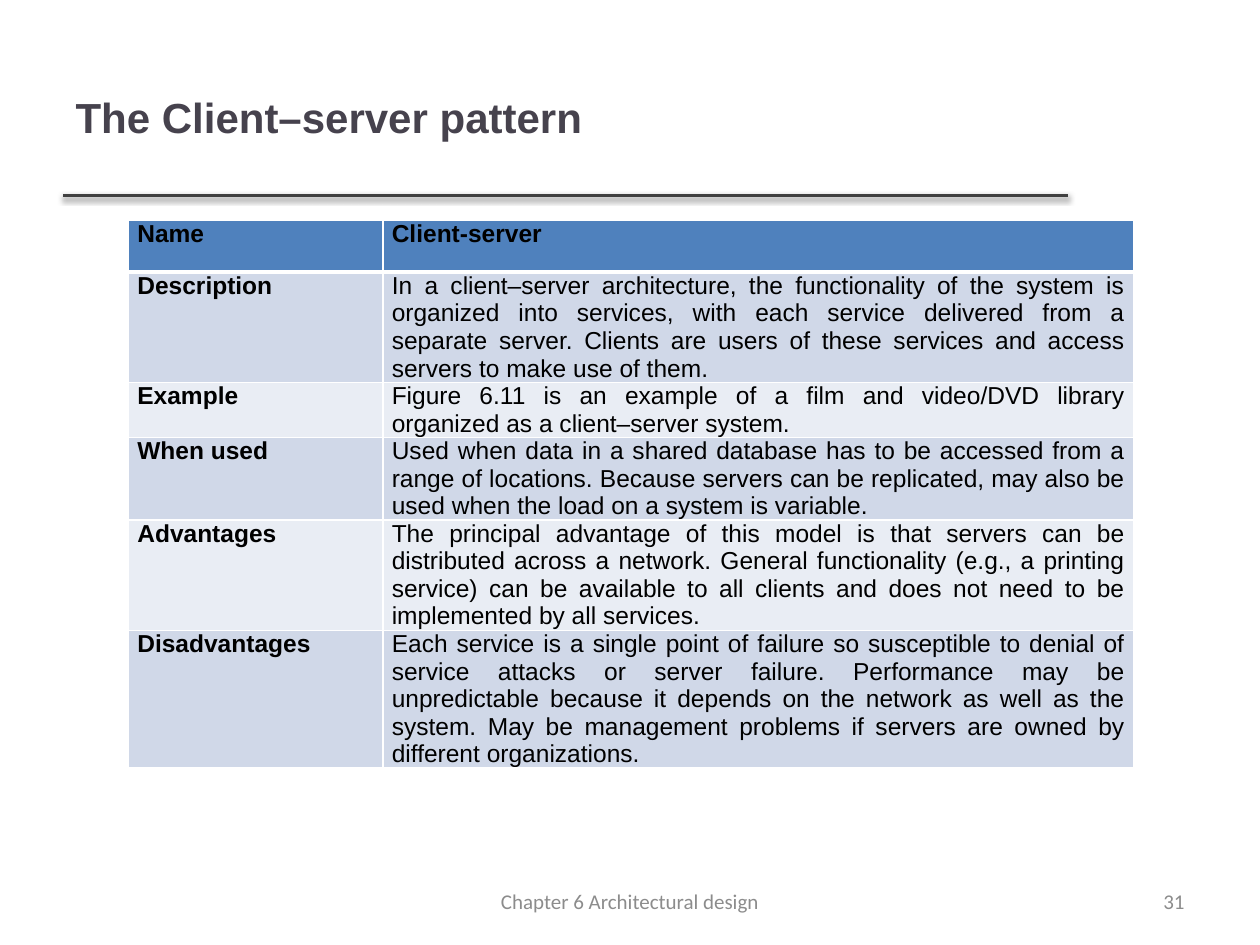
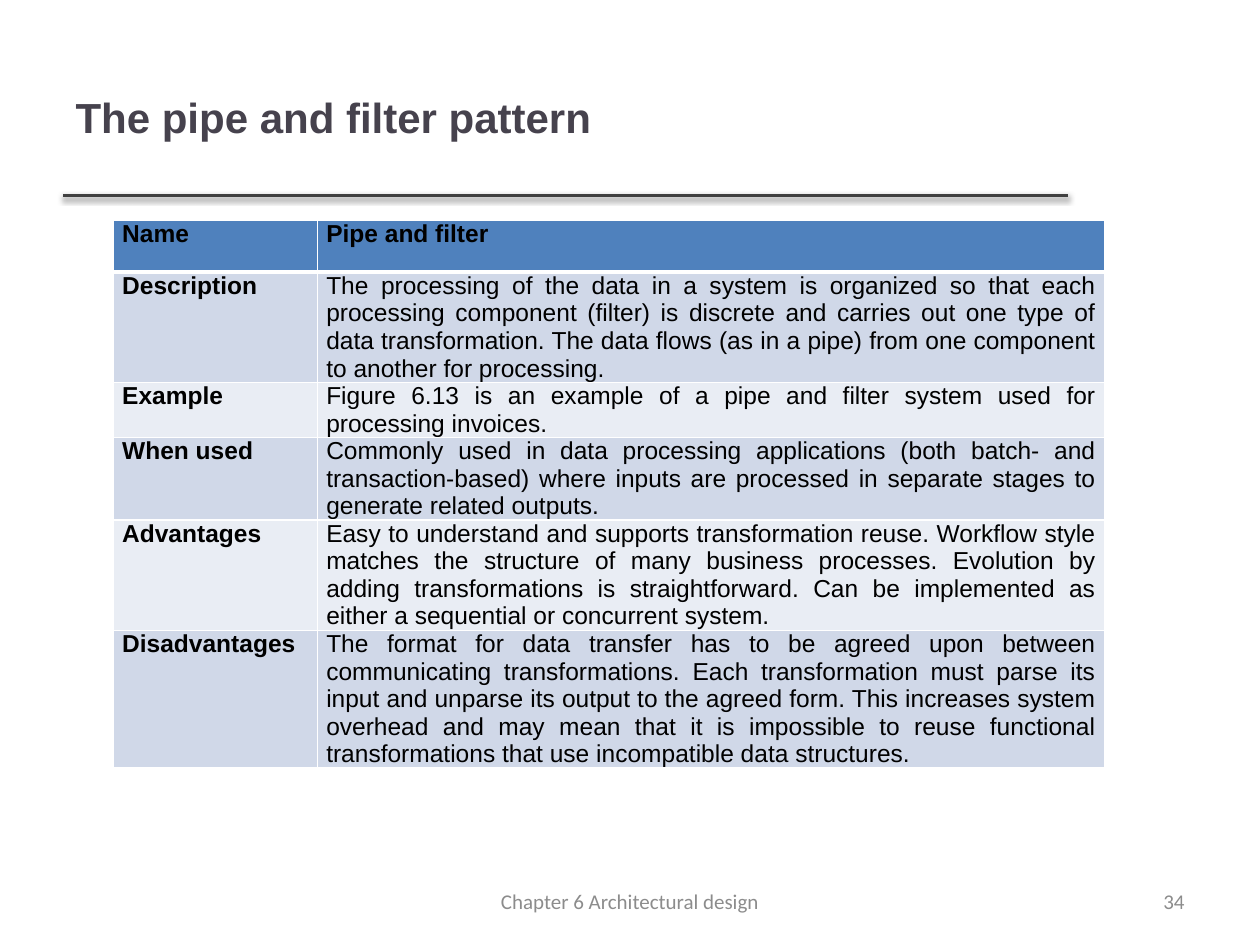
from lxml import etree
from pptx import Presentation
from pptx import util as u
from pptx.dml.color import RGBColor
from pptx.enum import shapes, text
from pptx.oxml import ns, parse_xml

# Content
FOOTER = "Chapter 6 Architectural design"
LABELS = ["Name", "Description", "Example", "When used", "Advantages", "Disadvantages"]
PATTERNS = [
    dict(title="The Client–server pattern", page=31, left=1.02, columns=(2.02, 5.96), details=[
        "Client-server",
        "In a client–server architecture, the functionality of the system is organized into "
        "services, with each service delivered from a separate server. Clients are users of "
        "these services and access servers to make use of them.",
        "Figure 6.11 is an example of a film and video/DVD library organized as a "
        "client–server system.",
        "Used when data in a shared database has to be accessed from a range of locations. "
        "Because servers can be replicated, may also be used when the load on a system is "
        "variable.",
        "The principal advantage of this model is that servers can be distributed across a "
        "network. General functionality (e.g., a printing service) can be available to all "
        "clients and does not need to be implemented by all services.",
        "Each service is a single point of failure so susceptible to denial of service attacks "
        "or server failure. Performance may be unpredictable because it depends on the network "
        "as well as the system. May be management problems if servers are owned by different "
        "organizations.",
    ]),
    dict(title="The pipe and filter pattern", page=34, left=0.9, columns=(1.62, 6.25), details=[
        "Pipe and filter",
        "The processing of the data in a system is organized so that each processing component "
        "(filter) is discrete and carries out one type of data transformation. The data flows "
        "(as in a pipe) from one component to another for processing.",
        "Figure 6.13 is an example of a pipe and filter system used for processing invoices.",
        "Commonly used in data processing applications (both batch- and transaction-based) "
        "where inputs are processed in separate stages to generate related outputs.",
        "Easy to understand and supports transformation reuse. Workflow style matches the "
        "structure of many business processes. Evolution by adding transformations is "
        "straightforward. Can be implemented as either a sequential or concurrent system.",
        "The format for data transfer has to be agreed upon between communicating "
        "transformations. Each transformation must parse its input and unparse its output to "
        "the agreed form. This increases system overhead and may mean that it is impossible to "
        "reuse functional transformations that use incompatible data structures.",
    ]),
]

# Shared look
COLORS = dict(title="46424D", rule="404040", header="4F81BD", odd="D0D8E8", even="E9EDF4",
              border="FFFFFF", body="000000", footer="8C8C8C", shadow="000000")
WIDTH, HEIGHT = 10, 7.5
MARGIN = 0.05 * WIDTH
TITLE_TOP, TITLE_WIDTH, RULE_Y = 0.3, 7.98, 1.55
TABLE_TOP, ROW_HEIGHT, CELL_INSET = 1.75, 0.41, 0.07
FOOTER_TOP, FOOTER_HEIGHT = 6.95, 0.4
FOOTER_WIDTH, PAGE_WIDTH = 3.17, 2.33
ALIGN = text.PP_ALIGN


def color(name):
    return RGBColor.from_string(COLORS[name])


def write(frame, words, size=14, font="Arial", ink="body", bold=False, align=ALIGN.LEFT):
    frame.word_wrap = True
    paragraph = frame.paragraphs[0]
    paragraph.alignment = align
    run = paragraph.add_run()
    run.text = words
    run.font.size, run.font.name, run.font.bold = u.Pt(size), font, bold
    run.font.color.rgb = color(ink)


def add_title(slide, words):
    title = slide.shapes.title
    title.left, title.top = u.Inches(MARGIN), u.Inches(TITLE_TOP)
    title.width, title.height = u.Inches(TITLE_WIDTH), u.Inches(RULE_Y - TITLE_TOP)
    title.text_frame.vertical_anchor = text.MSO_ANCHOR.MIDDLE
    write(title.text_frame, words, size=24, ink="title", bold=True)


def add_rule(slide):
    rule = slide.shapes.add_connector(
        shapes.MSO_CONNECTOR.STRAIGHT, u.Inches(MARGIN), u.Inches(RULE_Y),
        u.Inches(MARGIN + TITLE_WIDTH), u.Inches(RULE_Y))
    rule.line.color.rgb, rule.line.width = color("rule"), u.Pt(2)
    rule._element.spPr.append(parse_xml(
        f'<a:effectLst {ns.nsdecls("a")}><a:outerShdw blurRad="{u.Pt(3.1)}" '
        f'dist="{u.Pt(1.6)}" dir="5400000" rotWithShape="0"><a:srgbClr val="{COLORS["shadow"]}">'
        '<a:alpha val="38000"/></a:srgbClr></a:outerShdw></a:effectLst>'))


def add_borders(cell, **widths):
    properties = cell._tc.get_or_add_tcPr()
    for side in "LRTB":
        line = etree.SubElement(properties, ns.qn(f"a:ln{side}"), w=str(u.Pt(widths.get(side, 1))))
        fill = etree.SubElement(line, ns.qn("a:solidFill"))
        etree.SubElement(fill, ns.qn("a:srgbClr"), val=COLORS["border"])


def add_pattern_table(slide, left, columns, details):
    table = slide.shapes.add_table(
        len(LABELS), len(columns), u.Inches(left), u.Inches(TABLE_TOP),
        u.Inches(sum(columns)), u.Inches(ROW_HEIGHT * len(LABELS))).table
    for column, width in zip(table.columns, columns):
        column.width = u.Inches(width)
    for r, row in enumerate(zip(LABELS, details)):
        band = "header" if r == 0 else "odd" if r % 2 else "even"
        # The heavier line lies between the header and the first row
        heavy = {0: {"B": 3}, 1: {"T": 3}}.get(r, {})
        for c, words in enumerate(row):
            cell = table.cell(r, c)
            cell.margin_left = cell.margin_right = u.Inches(CELL_INSET)
            cell.margin_top = cell.margin_bottom = 0
            add_borders(cell, **heavy)
            cell.fill.solid()
            cell.fill.fore_color.rgb = color(band)
            write(cell.text_frame, words, bold=r == 0 or c == 0, align=ALIGN.JUSTIFY)


def add_footer(slide, words, left, width, align):
    box = slide.shapes.add_textbox(u.Inches(left), u.Inches(FOOTER_TOP),
                                   u.Inches(width), u.Inches(FOOTER_HEIGHT))
    box.text_frame.vertical_anchor = text.MSO_ANCHOR.MIDDLE
    write(box.text_frame, words, size=12, font="Calibri", ink="footer", align=align)


# Slides
deck = Presentation()
deck.slide_width, deck.slide_height = u.Inches(WIDTH), u.Inches(HEIGHT)
title_only = deck.slide_layouts[5]
for pattern in PATTERNS:
    slide = deck.slides.add_slide(title_only)
    add_rule(slide)
    add_title(slide, pattern["title"])
    add_pattern_table(slide, pattern["left"], pattern["columns"], pattern["details"])
    add_footer(slide, str(pattern["page"]), WIDTH - MARGIN - PAGE_WIDTH, PAGE_WIDTH, ALIGN.RIGHT)
    add_footer(slide, FOOTER, (WIDTH - FOOTER_WIDTH) / 2, FOOTER_WIDTH, ALIGN.CENTER)
deck.save("out.pptx")
